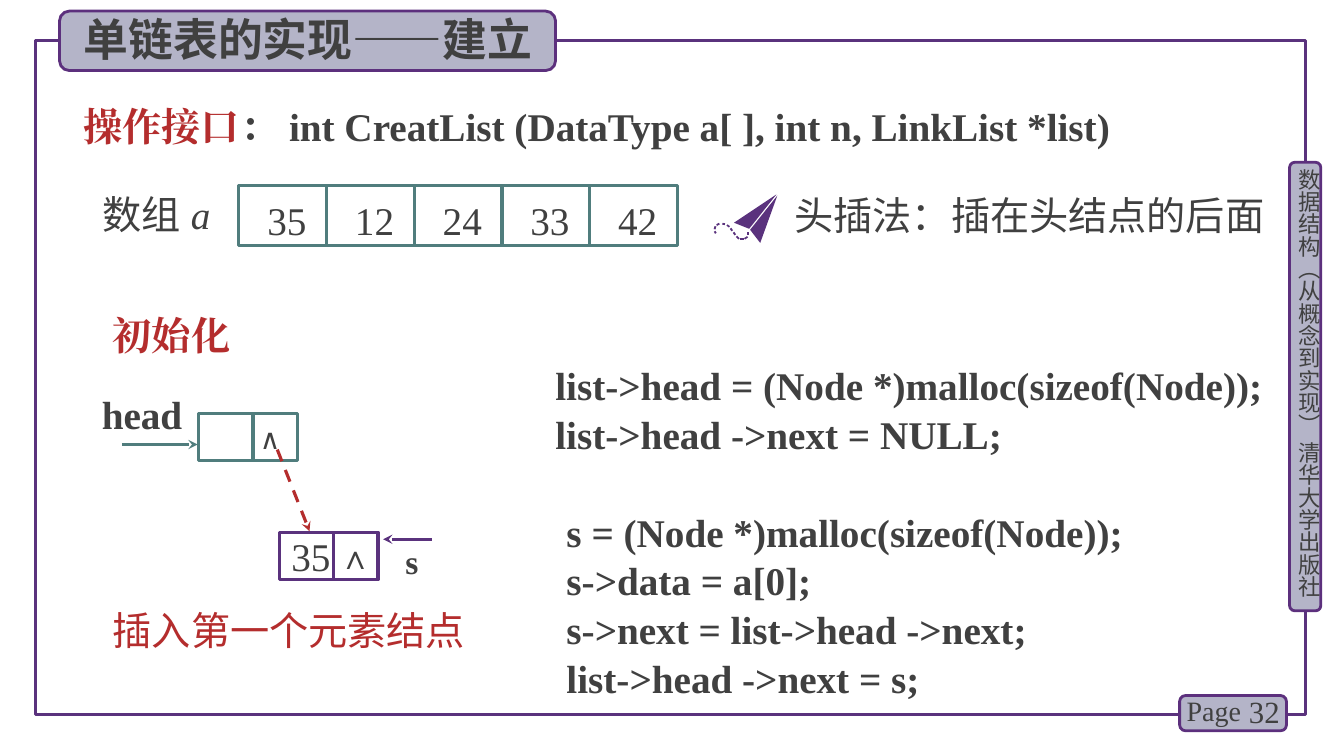
import math
from lxml import etree
from pptx import Presentation
from pptx import util as u
from pptx.dml.color import RGBColor
from pptx.enum import dml, shapes, text
from pptx.oxml import ns

PURPLE = RGBColor(0x5A, 0x32, 0x7D)
PLATE_EDGE = RGBColor(0x5C, 0x30, 0x7D)
PLATE_FILL = RGBColor(0xB4, 0xB4, 0xC8)
TEAL = RGBColor(0x50, 0x7D, 0x7D)
RED = RGBColor(0xB4, 0x2D, 0x2D)
INK = RGBColor(0x40, 0x40, 0x40)
SERIF, SANS, HAN = "Times New Roman", "Calibri", "Noto Sans CJK SC"
SHAPE = shapes.MSO_SHAPE
ANCHOR, ALIGN = text.MSO_ANCHOR, text.PP_ALIGN
LINE_WIDTH = 2.25


def add_xml(parent, tag, **attributes):
    child = etree.SubElement(parent, ns.qn(tag))
    for key, value in attributes.items():
        child.set(key, value)


def write(holder, lines, size=28, name=SERIF, color=INK, bold=False, align=ALIGN.LEFT,
          anchor=ANCHOR.TOP, insets=(0.1, 0.05, 0.1, 0.05), spacing=None, wrap=True):
    """Each line is a list of (words, format changes)."""
    frame = holder.text_frame
    frame_format = dict(zip(("margin_left", "margin_top", "margin_right", "margin_bottom"),
                            map(u.Inches, insets)))
    frame_format.update(word_wrap=wrap, vertical_anchor=anchor,
                        auto_size=text.MSO_AUTO_SIZE.NONE)
    for key, value in frame_format.items():
        setattr(frame, key, value)
    for index, line in enumerate(lines):
        paragraph = frame.add_paragraph() if index else frame.paragraphs[0]
        paragraph.alignment = align
        paragraph.line_spacing = spacing
        for words, changes in line:
            run = paragraph.add_run()
            run.text = words
            font = {"size": u.Pt(size), "name": name, "bold": bold, "color": color, **changes}
            run.font.color.rgb = font.pop("color")
            for key, value in font.items():
                setattr(run.font, key, value)
            add_xml(run.font._element, "a:ea", typeface=font["name"])


def label(slide, box, *lines, **style):
    holder = slide.shapes.add_textbox(*map(u.Inches, box))
    write(holder, [[(line, {})] if isinstance(line, str) else line for line in lines], **style)
    return holder


def outline(slide, kind, box, edge, width=LINE_WIDTH, fill=None):
    block = slide.shapes.add_shape(kind, *map(u.Inches, box))
    block.shadow.inherit = False
    block.line.color.rgb = edge
    block.line.width = u.Pt(width)
    if fill is None:
        block.fill.background()
    else:
        block.fill.solid()
        block.fill.fore_color.rgb = fill
    return block


def plate(slide, box):
    return outline(slide, SHAPE.ROUNDED_RECTANGLE, box, PLATE_EDGE, 2, PLATE_FILL)


def stroke(slide, start, end, color, arrow=False, dashed=False):
    link = slide.shapes.add_connector(shapes.MSO_CONNECTOR.STRAIGHT,
                                      *map(u.Inches, (*start, *end)))
    link.line.color.rgb = color
    link.line.width = u.Pt(LINE_WIDTH)
    if dashed:
        link.line.dash_style = dml.MSO_LINE.DASH
    if arrow:
        add_xml(link.line._get_or_add_ln(), "a:tailEnd", type="stealth")
    add_xml(link._element.spPr, "a:effectLst")


def page_frame(slide):
    outline(slide, SHAPE.RECTANGLE, (0.35, 0.4, 12.6, 6.69), PURPLE)
    # Book name down the right edge
    plate(slide, (12.79, 1.61, 0.31, 4.45))
    book = label(slide, (12.85, 1.67, 0.27, 4.49), "数据结构（从概念到实现） 清华大学出版社",
                 size=16, name=HAN, insets=(0, 0, 0, 0))
    book.text_frame._txBody.bodyPr.set("vert", "eaVert")
    # Page number
    plate(slide, (11.7, 6.9, 1.06, 0.35))
    label(slide, (12.2, 6.86, 0.59, 0.4), "32", size=22, align=ALIGN.RIGHT, anchor=ANCHOR.MIDDLE)
    label(slide, (11.67, 6.83, 0.78, 0.44), "Page", size=20)


def heading(slide, box):
    left, top, width, height = box
    plate(slide, box)
    title = slide.shapes.title
    title.left, title.top = u.Inches(left + 0.14), u.Inches(top - 0.04)
    title.width, title.height = u.Inches(width - 0.15), u.Inches(height + 0.05)
    write(title, [[("单链表的实现——建立", {})]], size=32, name=HAN, bold=True)
    slide.shapes.element.append(title.element)  # bring in front of its plate


def array_row(slide, box, values):
    left, top, width, height = box
    label(slide, (left - 1.45, top, 1.58, 0.57),
          [("数组", {"name": SANS}), (" a", {"italic": True})])
    cell_width = width / len(values)
    for index, value in enumerate(values):
        cell = outline(slide, SHAPE.RECTANGLE,
                       (left + index * cell_width, top, cell_width, height), TEAL)
        write(cell, [[(value, {})]], align=ALIGN.CENTER, anchor=ANCHOR.MIDDLE,
              insets=(0.08, 0.08, 0, 0))


def paper_plane(slide, left, top):
    # Points in thousandths of an inch from the corner of the plane
    wings = [[(630, 10), (460, 480), (360, 350)], [(620, 0), (350, 340), (200, 280)]]
    trail = [((340, 370), (340, 400)), ((335, 420), (305, 440)), ((295, 445), (260, 445)),
             ((250, 440), (225, 415)), ((212, 400), (196, 375)), ((182, 360), (166, 335)),
             ((155, 320), (130, 303)), ((110, 295), (85, 290)), ((55, 288), (28, 303)),
             ((16, 315), (8, 345)), ((8, 365), (20, 385))]
    half = 9
    for (x1, y1), (x2, y2) in trail:
        length = math.hypot(x2 - x1, y2 - y1)
        dx, dy = half * (y1 - y2) / length, half * (x2 - x1) / length
        wings.append([(x1 + dx, y1 + dy), (x2 + dx, y2 + dy),
                      (x2 - dx, y2 - dy), (x1 - dx, y1 - dy)])
    for points in wings:
        builder = slide.shapes.build_freeform(*points[0], scale=u.Inches(1) / 1000)
        builder.add_line_segments(points[1:], close=True)
        piece = builder.convert_to_shape(u.Inches(left), u.Inches(top))
        piece.shadow.inherit = False
        piece.fill.solid()
        piece.fill.fore_color.rgb = PURPLE
        piece.line.fill.background()


def method_note(slide, left, top):
    label(slide, (left + 0.8, top - 0.08, 4.94, 0.57), "头插法：插在头结点的后面",
          name=HAN, insets=(0, 0.05, 0, 0.05))
    paper_plane(slide, left, top)


def node(slide, left, top, color, data=""):
    width, height, split = 0.98, 0.47, 0.54
    block = outline(slide, SHAPE.RECTANGLE, (left, top, width, height), color)
    stroke(slide, (left + split, top), (left + split, top + height), color)
    if data:
        write(block, [[(data, {})]], anchor=ANCHOR.MIDDLE, insets=(0.12, 0, 0, 0))


def linked_list(slide, left, top):
    label(slide, (left, top, 2.67, 0.57), "初始化", color=RED, bold=True)
    # Head node
    stroke(slide, (left + 0.19, top + 1.37), (left + 0.94, top + 1.37), TEAL, arrow=True)
    label(slide, (left - 0.01, top + 0.83, 0.97, 0.51), "head", bold=True, insets=(0, 0, 0, 0.04))
    node(slide, left + 0.95, top + 1.06, TEAL)
    label(slide, (left + 1.46, top + 1.09, 0.48, 0.43), "∧", size=20, name=SANS, wrap=False)
    # First element node
    node(slide, left + 1.75, top + 2.24, PURPLE, "35")
    stroke(slide, (left + 3.26, top + 2.31), (left + 2.78, top + 2.31), PURPLE, arrow=True)
    label(slide, (left + 3, top + 2.33, 0.27, 0.4), "s", size=24, bold=True, insets=(0, 0, 0, 0))
    label(slide, (left + 2.24, top + 2.23, 0.49, 0.5), "∧", size=24, bold=True)
    stroke(slide, (left + 1.73, top + 1.42), (left + 2.05, top + 2.23), RED,
           arrow=True, dashed=True)
    label(slide, (left, top + 2.93, 3.92, 0.57), "插入第一个元素结点", name=HAN, color=RED)


def code(slide, box, *lines):
    label(slide, box, *lines, bold=True, spacing=1.04)


def main():
    deck = Presentation()
    deck.slide_width, deck.slide_height = u.Inches(13.33), u.Inches(7.5)
    slide = deck.slides.add_slide(deck.slide_layouts[5])
    page_frame(slide)
    heading(slide, (0.59, 0.11, 4.92, 0.59))
    label(slide, (0.73, 0.97, 10.9, 0.57),
          [("操作接口", {"color": RED}),
           ("： int CreatList (DataType a[ ], int n, LinkList *list)", {})], bold=True)
    array_row(slide, (2.37, 1.84, 4.35, 0.6), ["35", "12", "24", "33", "42"])
    method_note(slide, 7.08, 1.93)
    linked_list(slide, 1.02, 3.04)
    code(slide, (5.41, 3.52, 7.55, 1.04),
         "list->head = (Node *)malloc(sizeof(Node));", "list->head ->next = NULL;")
    code(slide, (5.52, 4.97, 6.82, 1.99),
         "s = (Node *)malloc(sizeof(Node));", "s->data = a[0];",
         "s->next = list->head ->next;", "list->head ->next = s;")
    deck.save("out.pptx")


if __name__ == "__main__":
    main()
